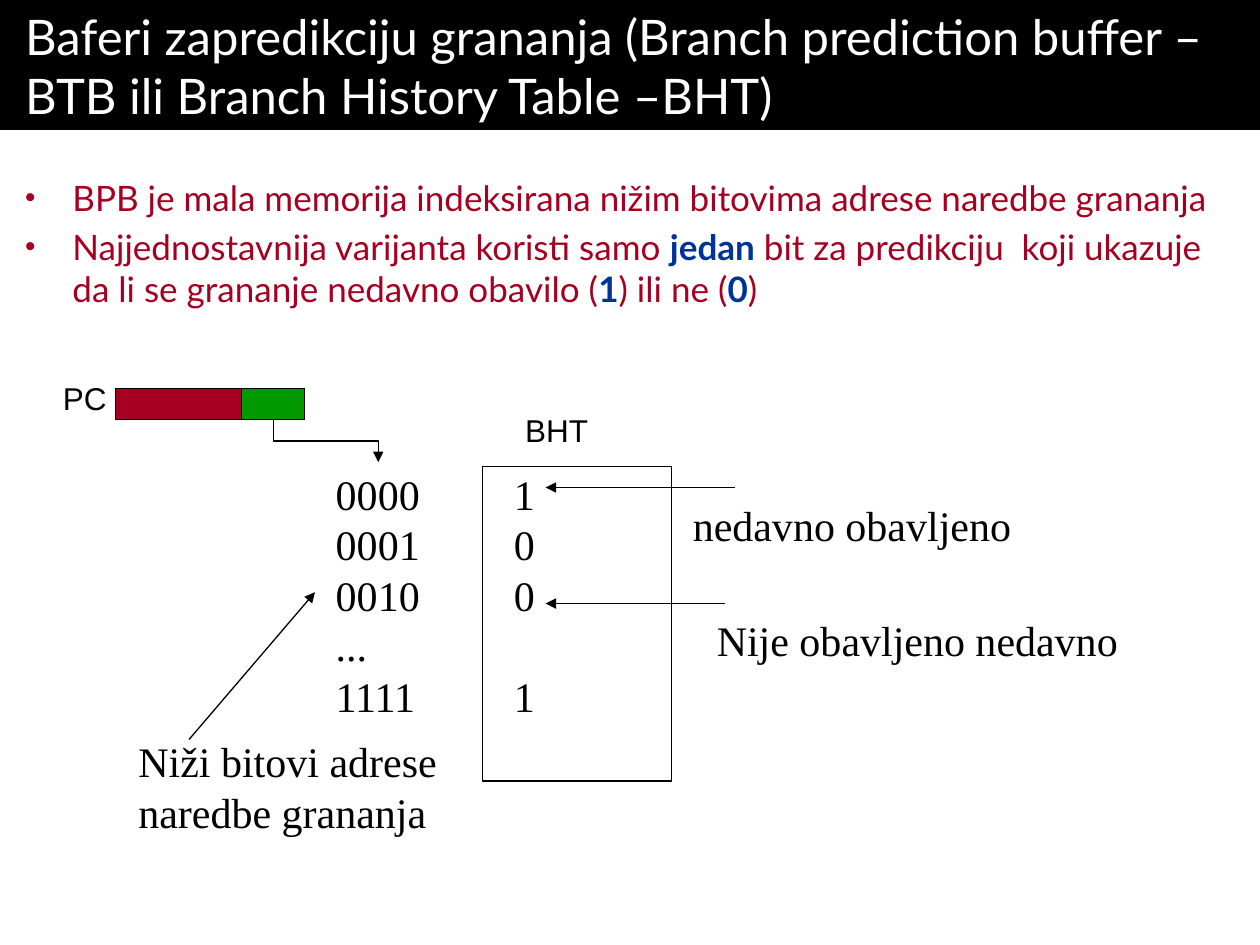
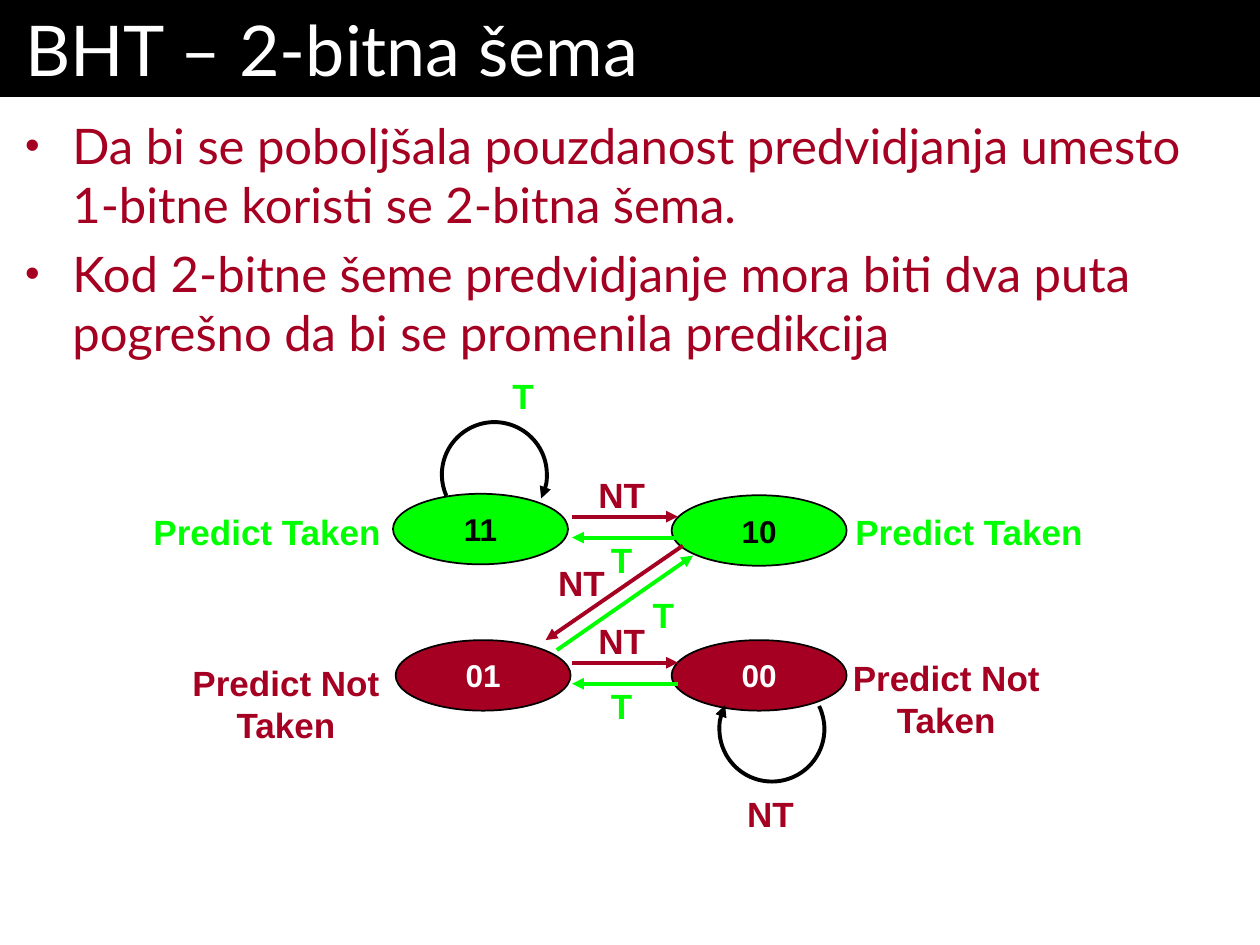
from lxml.etree import SubElement
from pptx import Presentation
from pptx.dml.color import RGBColor
from pptx.enum.shapes import MSO_CONNECTOR, MSO_SHAPE
from pptx.enum.text import MSO_ANCHOR, MSO_AUTO_SIZE, PP_ALIGN
from pptx.oxml.ns import qn
from pptx.util import Pt

HEX = {"black": "000000", "white": "FFFFFF", "red": "A50021", "blue": "003399",
       "green": "009900", "lime": "00FF00"}
RGB = {name: RGBColor.from_string(code) for name, code in HEX.items()}


def label(slide, text, left, top, width, height, font, size, hue="black", bold=False):
    """Place an unwrapped text box with one paragraph per line."""
    box = slide.shapes.add_textbox(Pt(left), Pt(top), Pt(width), Pt(height))
    frame = box.text_frame
    frame.word_wrap = False
    frame.text = text
    for para in frame.paragraphs:
        para.line_spacing = Pt(size * 1.2)
        para.font.name, para.font.size = font, Pt(size)
        para.font.bold, para.font.color.rgb = bold, RGB[hue]
    return frame


def tip(shape, hue, width):
    """Style a line, end it in an arrowhead and drop its shadow."""
    shape.line.color.rgb = RGB[hue]
    shape.line.width = Pt(width)
    props = shape._element.spPr
    SubElement(props.find(qn("a:ln")), qn("a:tailEnd"), type="triangle")
    SubElement(props, qn("a:effectLst"))


deck = Presentation()
deck.slide_width, deck.slide_height = Pt(720), Pt(540)

# Title bands and bullets; words between asterisks are emphasised
pages = [
    ("Baferi zapredikciju grananja (Branch prediction buffer –"
     "BTB ili Branch History Table –BHT)", 28, 74.2, 90, 20,
     ["BPB je mala memorija indeksirana nižim bitovima adrese naredbe grananja",
      "Najjednostavnija varijanta koristi samo *jedan* bit za predikciju  koji "
      "ukazuje da li se grananje nedavno obavilo (*1*) ili ne (*0*)"]),
    ("BHT – 2-bitna šema", 40, 55.4, 55.4, 28,
     ["Da bi se poboljšala pouzdanost predvidjanja umesto 1-bitne koristi se "
      "2-bitna šema.",
      "Kod 2-bitne šeme predvidjanje mora biti dva puta pogrešno da bi se "
      "promenila predikcija"]),
]
slides = []
for head, head_size, band, top, size, points in pages:
    slide = deck.slides.add_slide(deck.slide_layouts[5])
    slides.append(slide)

    title = slide.shapes.title
    title.left, title.top, title.width, title.height = Pt(0), Pt(0), Pt(720), Pt(band)
    title.fill.solid()
    title.fill.fore_color.rgb = RGB["black"]
    frame = title.text_frame
    frame.text = head
    frame.auto_size = MSO_AUTO_SIZE.NONE
    frame.vertical_anchor = MSO_ANCHOR.TOP
    frame.margin_left = frame.margin_right = Pt(14.4)
    para = frame.paragraphs[0]
    para.alignment = PP_ALIGN.LEFT
    font = para.runs[0].font
    font.name, font.size, font.color.rgb = "Lato", Pt(head_size), RGB["white"]

    body = slide.shapes.add_textbox(Pt(0), Pt(top), Pt(720), Pt(540 - top))
    frame = body.text_frame
    frame.word_wrap = True
    frame.margin_left = frame.margin_right = Pt(14.4)
    frame.margin_top = frame.margin_bottom = Pt(10.8)
    for i, point in enumerate(points):
        para = frame.add_paragraph() if i else frame.paragraphs[0]
        para.space_before = Pt(size * 0.2)
        props = para._p.get_or_add_pPr()
        props.set("marL", str(Pt(27)))
        props.set("indent", str(-Pt(27)))
        SubElement(SubElement(props, qn("a:buClr")), qn("a:srgbClr"), val=HEX["red"])
        SubElement(props, qn("a:buSzPct"), val="85000")
        SubElement(props, qn("a:buFont"), typeface="Arial")
        SubElement(props, qn("a:buChar"), char="•")
        for j, part in enumerate(point.split("*")):
            run = para.add_run()
            run.text = part
            font = run.font
            font.name, font.size, font.bold = "Lato", Pt(size), j % 2 == 1
            font.color.rgb = RGB["blue" if j % 2 else "red"]

table, states = slides

# History table outline and the two fields of the PC
for left, top, width, height, hue in [
        (275.8, 266.4, 108, 180, None),
        (66.2, 221.8, 72, 18, "red"),
        (138.2, 221.8, 36, 18, "green")]:
    rect = table.shapes.add_shape(MSO_SHAPE.RECTANGLE, Pt(left), Pt(top),
                                  Pt(width), Pt(height))
    rect.shadow.inherit = False
    if hue:
        rect.fill.solid()
        rect.fill.fore_color.rgb = RGB[hue]
    else:
        rect.fill.background()
    rect.line.color.rgb = RGB["black"]
    rect.line.width = Pt(0.75)

# Addresses, stored bits and remarks
serif = "Times New Roman"
label(table, "Niži bitovi adrese\nnaredbe grananja", 72, 416.9, 185, 64.8, serif, 24)
label(table, "0000\n0001\n0010\n...\n1111", 184.8, 264.2, 62.6, 151.2, serif, 24)
bits = label(table, "1\n0\n0\n1", 286.6, 264.2, 26.6, 151.2, serif, 24)
bits.paragraphs[3].space_before = Pt(28.8)
label(table, "nedavno obavljeno", 388.8, 282.2, 196.6, 36, serif, 24)
label(table, "Nije obavljeno nedavno", 402.5, 347.8, 243.4, 36, serif, 24)
label(table, "BHT", 293, 231.1, 50.4, 28.8, "Arial", 18)
label(table, "PC", 28.8, 213.1, 39.6, 28.8, "Arial", 18)

# Pointers into the table
for ends in [(108, 422.6, 180, 338.4), (419.8, 278.6, 311.8, 278.6),
             (414, 344.9, 311.8, 344.9)]:
    line = table.shapes.add_connector(MSO_CONNECTOR.STRAIGHT, *map(Pt, ends))
    tip(line, "black", 0.75)

# Elbow from the PC: a quarter turn makes it leave downwards
elbow = table.shapes.add_connector(MSO_CONNECTOR.ELBOW, Pt(198.1), Pt(222),
                                   Pt(174.1), Pt(282))
elbow._element.spPr.find(qn("a:xfrm")).set("rot", str(270 * 60000))
tip(elbow, "black", 0.75)

# Labels of states and transitions
for text, left, top, width, height, hue in [
        ("T", 285.8, 210.2, 26.6, 31, "lime"),
        ("T", 365.8, 335.5, 26.6, 31, "lime"),
        ("NT", 311.8, 317.5, 41, 31, "red"),
        ("NT", 419.8, 449.3, 41, 31, "red"),
        ("Predict Taken", 80.6, 288, 145.4, 31, "lime"),
        ("Predict Taken", 481.7, 288, 145.4, 31, "lime"),
        ("Predict Not\nTaken", 100.1, 374.4, 126.7, 54.7, "red"),
        ("Predict Not\nTaken", 477.4, 371.5, 126.7, 54.7, "red")]:
    frame = label(states, text, left, top, width, height, "Arial", 20, hue, True)
    if "\n" in text:
        for para in frame.paragraphs:
            para.alignment = PP_ALIGN.CENTER

# States
for text, left, top, hue, ink in [
        ("11", 224.6, 282.2, "lime", "black"), ("10", 383.8, 283, "lime", "black"),
        ("01", 226.1, 365.8, "red", "white"), ("00", 383.8, 365.8, "red", "white")]:
    oval = states.shapes.add_shape(MSO_SHAPE.OVAL, Pt(left), Pt(top), Pt(100), Pt(40.3))
    oval.shadow.inherit = False
    oval.fill.solid()
    oval.fill.fore_color.rgb = RGB[hue]
    oval.line.color.rgb = RGB["black"]
    oval.line.width = Pt(1)
    frame = oval.text_frame
    frame.word_wrap = False
    frame.vertical_anchor = MSO_ANCHOR.MIDDLE
    frame.text = text
    para = frame.paragraphs[0]
    para.alignment = PP_ALIGN.CENTER
    font = para.runs[0].font
    font.name, font.size, font.bold, font.color.rgb = "Arial", Pt(18), True, RGB[ink]

# Loops back to the same state; adjustments hold 0.6 per degree
for left, top, start, end in [(252.5, 241.2, 156, 27), (411.1, 386.6, 334, 207)]:
    loop = states.shapes.add_shape(MSO_SHAPE.ARC, Pt(left), Pt(top), Pt(60), Pt(60))
    loop.adjustments[0] = start * 0.6
    loop.adjustments[1] = end * 0.6
    loop.fill.background()
    tip(loop, "black", 2.25)

# Transitions: the same pair in each row, then the diagonal pair
moves = [(318.2, 371.5, 396, 317.5, "lime"), (390.2, 311.8, 311.8, 365.8, "red")]
for top in (295.2, 378.7):
    moves += [(326.9, top, 387.4, top, "red"),
              (387.4, top + 12, 326.9, top + 12, "lime")]
    label(states, "NT", 334.8, top - 28, 41, 31, "Arial", 20, "red", True)
    label(states, "T", 342, top + 9, 26.6, 31, "Arial", 20, "lime", True)
for *ends, hue in moves:
    line = states.shapes.add_connector(MSO_CONNECTOR.STRAIGHT, *map(Pt, ends))
    tip(line, hue, 2.25)

deck.save("out.pptx")
